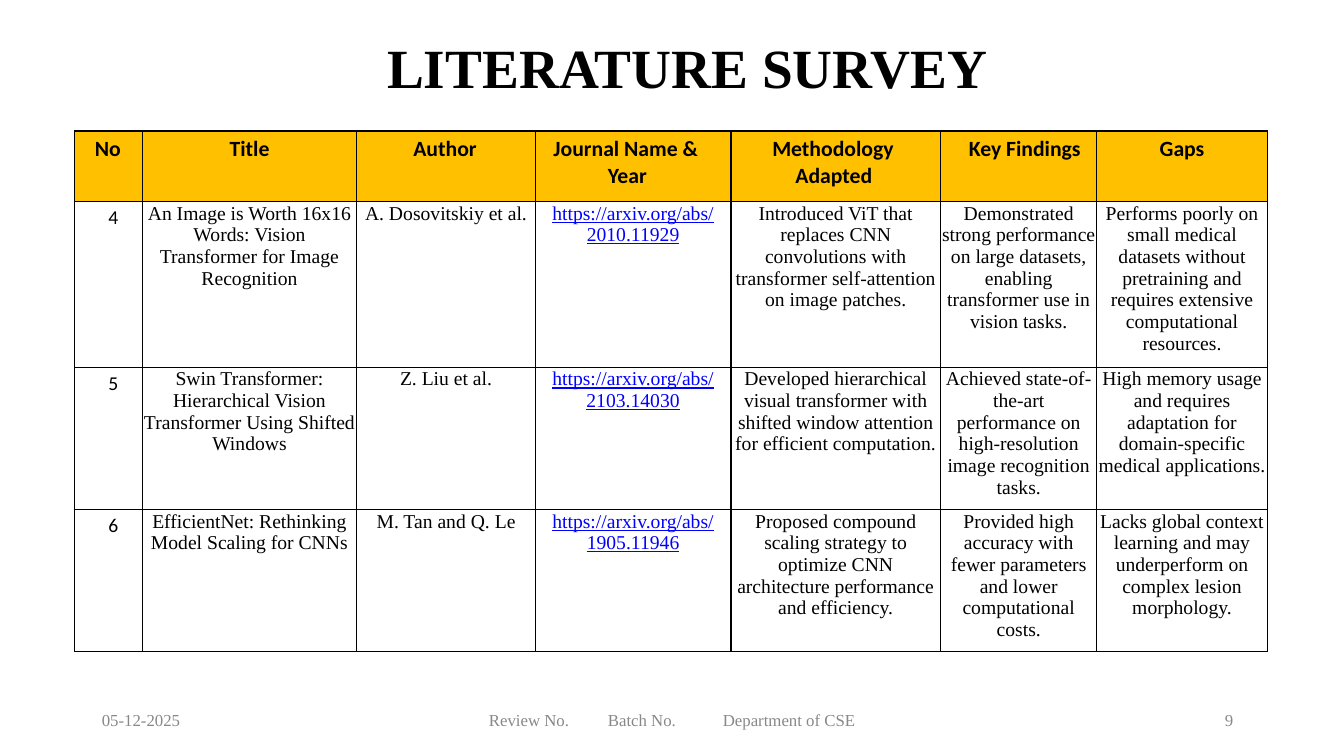
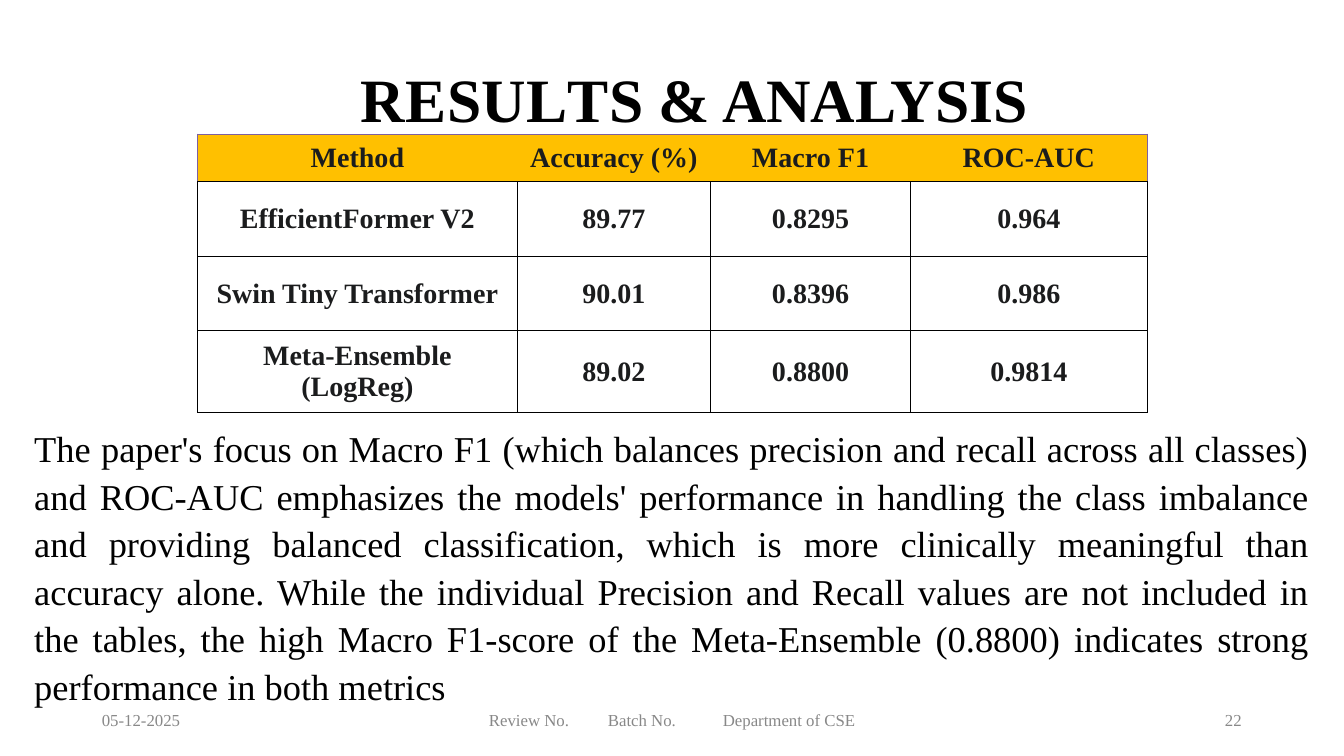
import pptx
import pptx.util
import pptx.dml.color
import pptx.enum.text
from lxml import etree

Inches = pptx.util.Inches
Pt = pptx.util.Pt
ALIGN = pptx.enum.text.PP_ALIGN
ANCHOR = pptx.enum.text.MSO_ANCHOR
NS = "http://schemas.openxmlformats.org/drawingml/2006/main"

COLORS = {
    "black": "000000",
    "gold": "FFC000",
    "ink": "1B1C1D",
    "grey": "888888",
    "link": "0000FF",
    "edge": "7D60A0",
}
SERIF, SANS = "Times New Roman", "Calibri"
BLACK = ("black", 1)
EDGE = ("edge", 0.75)
GRID = dict.fromkeys("LRTB", BLACK)

FOOT = [
    (1, 0.81, "05-12-2025"),
    (4.84, 0.83, "Review No."),
    (6.02, 0.7, "Batch No."),
    (7.16, 1.34, "Department of CSE"),
]

# Heading, left margin, first-line indent, top inset; no margin means centred
HEADS = [
    ("No", 0.2, 0, 0.05),
    ("Title", None, 0, 0.05),
    ("Author", 0.56, 0, 0.05),
    ("Journal Name & Year", 0.72, -0.54, 0.03),
    ("Methodology Adapted", 0.64, -0.23, 0.03),
    ("Key Findings", 0.28, 0, 0.05),
    ("Gaps", None, 0, 0.05),
]
PAPERS = [
    ("4",
     "An Image is Worth 16x16 Words: Vision Transformer for Image Recognition",
     "A. Dosovitskiy et al.",
     "https://arxiv.org/abs/2010.11929",
     "Introduced ViT that replaces CNN convolutions with transformer "
     "self-attention on image patches.",
     "Demonstrated strong performance on large datasets, enabling "
     "transformer use in vision tasks.",
     "Performs poorly on small medical datasets without pretraining and "
     "requires extensive computational resources."),
    ("5",
     "Swin Transformer: Hierarchical Vision Transformer Using Shifted Windows",
     "Z. Liu et al.",
     "https://arxiv.org/abs/2103.14030",
     "Developed hierarchical visual transformer with shifted window "
     "attention for efficient computation.",
     "Achieved state-of-the-art performance on high-resolution image "
     "recognition tasks.",
     "High memory usage and requires adaptation for domain-specific "
     "medical applications."),
    ("6",
     "EfficientNet: Rethinking Model Scaling for CNNs",
     "M. Tan and Q. Le",
     "https://arxiv.org/abs/1905.11946",
     "Proposed compound scaling strategy to optimize CNN architecture "
     "performance and efficiency.",
     "Provided high accuracy with fewer parameters and lower "
     "computational costs.",
     "Lacks global context learning and may underperform on complex "
     "lesion morphology."),
]
SCORES = [
    ("Method", "Accuracy (%)", "Macro F1", "ROC-AUC"),
    ("EfficientFormer V2", "89.77", "0.8295", "0.964"),
    ("Swin Tiny Transformer", "90.01", "0.8396", "0.986"),
    ("Meta-Ensemble (LogReg)", "89.02", "0.8800", "0.9814"),
]
NOTE = (
    "The paper's focus on Macro F1 (which balances precision and recall "
    "across all classes) and ROC-AUC emphasizes the models' performance in "
    "handling the class imbalance and providing balanced classification, "
    "which is more clinically meaningful than accuracy alone. While the "
    "individual Precision and Recall values are not included in the tables, "
    "the high Macro F1-score of the Meta-Ensemble (0.8800) indicates strong "
    "performance in both metrics"
)


class Deck:
    def __init__(self):
        self.prs = pptx.Presentation()
        self.prs.slide_width = Inches(13.33)
        self.prs.slide_height = Inches(7.5)
        self.slide = None

    def page(self, num):
        """Start a slide with the shared footer."""
        self.slide = self.prs.slides.add_slide(self.prs.slide_layouts[6])
        for x, width, words in FOOT + [(12.14, 0.24, num)]:
            para = self.text(x, 7.05, width, 0.21, words, 12, "grey", left=0.01)
            para.line_spacing = Pt(14.1)

    def style(self, para, size, color, face=SERIF, bold=False, line=False,
              align=ALIGN.LEFT, left=0, first=0):
        props = para._p.get_or_add_pPr()
        props.set("marL", str(Inches(left)))
        props.set("indent", str(Inches(first)))
        para.alignment = align
        font = para.font
        font.size, font.name, font.bold = Pt(size), face, bold
        font.underline = line
        font.color.rgb = pptx.dml.color.RGBColor.from_string(COLORS[color])

    def text(self, x, y, width, height, words, size, color, top=0, **look):
        """Words are a string, or pairs of string and letter spacing."""
        box = self.slide.shapes.add_textbox(
            Inches(x), Inches(y), Inches(width), Inches(height))
        frame = box.text_frame
        frame.word_wrap = True
        frame.margin_left = frame.margin_right = frame.margin_bottom = 0
        frame.margin_top = Inches(top)
        para = frame.paragraphs[0]
        for part, space in [(words, 0)] if isinstance(words, str) else words:
            run = para.add_run()
            run.text = part
            if space:
                run._r.get_or_add_rPr().set("spc", str(int(space * 100)))
        self.style(para, size, color, **look)
        return para

    def title(self, x, y, width, words, size):
        self.text(x, y, width, 0.7, words, size, "black", bold=True, left=0.01)

    def table(self, x, y, cols, rows):
        frame = self.slide.shapes.add_table(
            len(rows), len(cols), Inches(x), Inches(y),
            Inches(sum(cols)), Inches(sum(rows)))
        grid = frame.table
        grid.first_row = grid.horz_banding = False
        for col, width in zip(grid.columns, cols):
            col.width = Inches(width)
        for row, height in zip(grid.rows, rows):
            row.height = Inches(height)
        return grid

    def cell(self, cell, words, size, color, pads, fill=None, edges=GRID,
             anchor=ANCHOR.TOP, **look):
        """Fill one cell; pads run left, top, right, bottom."""
        cell.text = words
        (cell.margin_left, cell.margin_top,
         cell.margin_right, cell.margin_bottom) = map(Inches, pads)
        cell.vertical_anchor = anchor
        props = cell._tc.get_or_add_tcPr()
        for side in "LRTB":
            self.edge(props, side, edges.get(side))
        if fill:
            cell.fill.solid()
            cell.fill.fore_color.rgb = pptx.dml.color.RGBColor.from_string(
                COLORS[fill])
        else:
            cell.fill.background()
        self.style(cell.text_frame.paragraphs[0], size, color, **look)

    def edge(self, props, side, pen):
        line = etree.SubElement(props, f"{{{NS}}}ln{side}")
        if not pen:
            etree.SubElement(line, f"{{{NS}}}noFill")
            return
        color, width = pen
        line.set("w", str(Pt(width)))
        fill = etree.SubElement(line, f"{{{NS}}}solidFill")
        etree.SubElement(fill, f"{{{NS}}}srgbClr", val=COLORS[color])


def survey(deck):
    deck.page("9")
    grid = deck.table(0.74, 1.3, [0.67, 2.13, 1.77, 1.94, 2.08, 1.55, 1.69],
                      [0.7, 1.51, 1.3, 1.3])
    for c, (words, left, first, top) in enumerate(HEADS):
        deck.cell(grid.cell(0, c), words, 15.5, "black", (0, top, 0, 0),
                  fill="gold", face=SANS, bold=True, left=left or 0,
                  first=first,
                  align=ALIGN.CENTER if left is None else ALIGN.LEFT)
        if first:
            grid.cell(0, c).text_frame.paragraphs[0].line_spacing = 1.05
    for r, paper in enumerate(PAPERS, 1):
        for c, words in enumerate(paper):
            link = words.startswith("https")
            pads, look = (0.01, 0.01, 0.01, 0), {}
            if c == 0:
                pads, look = (0, 0.04, 0, 0), {"face": SANS, "left": 0.1}
            deck.cell(grid.cell(r, c), words, 14, "link" if link else "black",
                      pads, line=link, align=ALIGN.CENTER, **look)
    deck.title(3.83, 0.33, 6.06, "LITERATURE SURVEY", 39.5)


def results(deck):
    deck.page("22")
    deck.title(3.57, 0.6, 8.62,
               [("RESU", 0.25), ("L", -4.5), ("TS & ANALYSIS", 0)], 44)
    para = deck.text(0.33, 4.08, 12.67, 2.73, NOTE, 26, "black", top=0.11,
                     align=ALIGN.JUSTIFY, left=0.01)
    para.line_spacing = 1.09
    cols = [3.17, 1.92, 1.98, 2.35]
    grid = deck.table(1.96, 1.33, cols, [0.47, 0.74, 0.74, 0.8])
    for r, score in enumerate(SCORES):
        for c, words in enumerate(score):
            edges = GRID
            if r == 0:
                edges = {"T": EDGE, "B": BLACK,
                         "L": EDGE if c == 0 else None,
                         "R": EDGE if c == len(cols) - 1 else None}
            deck.cell(grid.cell(r, c), words, 20, "ink",
                      (0.1, 0.07, 0.1, 0.07), fill=None if r else "gold",
                      edges=edges, anchor=ANCHOR.MIDDLE, bold=True,
                      align=ALIGN.CENTER)


def main():
    deck = Deck()
    survey(deck)
    results(deck)
    deck.prs.save("out.pptx")


if __name__ == "__main__":
    main()
